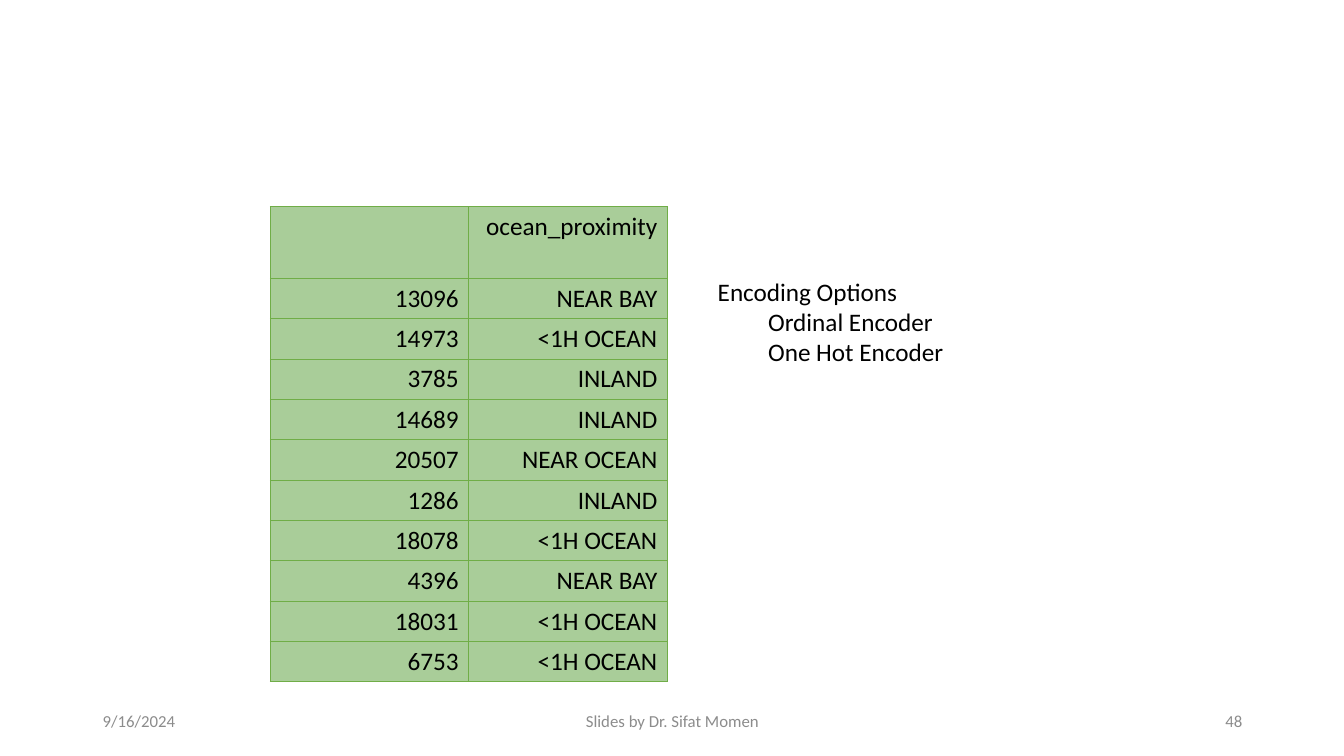
"""Builds a slide with a table of ocean proximity values and their encoding options."""
import lxml.etree
import pptx
import pptx.dml.color
import pptx.enum.text
import pptx.oxml.ns
import pptx.util

Inches = pptx.util.Inches
Align = pptx.enum.text.PP_ALIGN
Anchor = pptx.enum.text.MSO_ANCHOR

FOOTERS = [
    (0.92, 3, "9/16/2024", Align.LEFT),
    (4.42, 4.5, "Slides by Dr. Sifat Momen", Align.CENTER),
    (9.42, 3, "48", Align.RIGHT),
]
PROXIMITY_ROWS = [
    ("", "ocean_proximity"),
    ("13096", "NEAR BAY"),
    ("14973", "<1H OCEAN"),
    ("3785", "INLAND"),
    ("14689", "INLAND"),
    ("20507", "NEAR OCEAN"),
    ("1286", "INLAND"),
    ("18078", "<1H OCEAN"),
    ("4396", "NEAR BAY"),
    ("18031", "<1H OCEAN"),
    ("6753", "<1H OCEAN"),
]
ENCODING_LINES = ["Encoding Options", "\tOrdinal Encoder", "\tOne Hot Encoder"]


def color(value):
    return pptx.dml.color.RGBColor.from_string(value)


class SlideBuilder:
    font = "Calibri"
    ink = "000000"
    muted = "8C8C8C"
    cell_fill = "A9CD99"
    border = "70AD47"

    def __init__(self, page):
        self.page = page

    def format(self, paragraph, size, ink, align):
        paragraph.alignment = align
        paragraph.font.name = self.font
        paragraph.font.size = pptx.util.Pt(size)
        paragraph.font.color.rgb = color(ink)

    def text(self, left, top, width, height, lines, size, ink,
             align=Align.LEFT, anchor=Anchor.TOP):
        box = self.page.shapes.add_textbox(
            Inches(left), Inches(top), Inches(width), Inches(height))
        frame = box.text_frame
        frame.word_wrap = True
        frame.vertical_anchor = anchor
        frame.text = "\n".join(lines)
        for paragraph in frame.paragraphs:
            self.format(paragraph, size, ink, align)

    def outline(self, cell):
        properties = cell._tc.get_or_add_tcPr()
        qualified = pptx.oxml.ns.qn
        for position, side in enumerate(("a:lnL", "a:lnR", "a:lnT", "a:lnB")):
            line = lxml.etree.Element(qualified(side), w=str(pptx.util.Pt(0.5)))
            fill = lxml.etree.SubElement(line, qualified("a:solidFill"))
            lxml.etree.SubElement(fill, qualified("a:srgbClr"), val=self.border)
            properties.insert(position, line)

    def table(self, left, top, column_width, header_height, row_height, rows):
        columns = len(rows[0])
        height = header_height + row_height * (len(rows) - 1)
        grid = self.page.shapes.add_table(
            len(rows), columns, Inches(left), Inches(top),
            Inches(column_width * columns), Inches(height)).table
        for column in grid.columns:
            column.width = Inches(column_width)
        for index, values in enumerate(rows):
            grid.rows[index].height = Inches(row_height if index else header_height)
            for cell, value in zip(grid.rows[index].cells, values):
                cell.text = value
                cell.vertical_anchor = Anchor.MIDDLE if index else Anchor.TOP
                cell.fill.solid()
                cell.fill.fore_color.rgb = color(self.cell_fill)
                self.outline(cell)
                self.format(cell.text_frame.paragraphs[0], 18, self.ink, Align.RIGHT)


def main():
    deck = pptx.Presentation()
    deck.slide_width = Inches(13.33)
    deck.slide_height = Inches(7.5)
    slide = SlideBuilder(deck.slides.add_slide(deck.slide_layouts[6]))
    for left, width, label, align in FOOTERS:
        slide.text(left, 6.95, width, 0.4, [label], 12, slide.muted, align, Anchor.MIDDLE)
    slide.table(2.68, 2.05, 1.97, 0.71, 0.4, PROXIMITY_ROWS)
    slide.text(7.02, 2.69, 5.71, 1.01, ENCODING_LINES, 18, slide.ink)
    deck.save("out.pptx")


if __name__ == "__main__":
    main()
